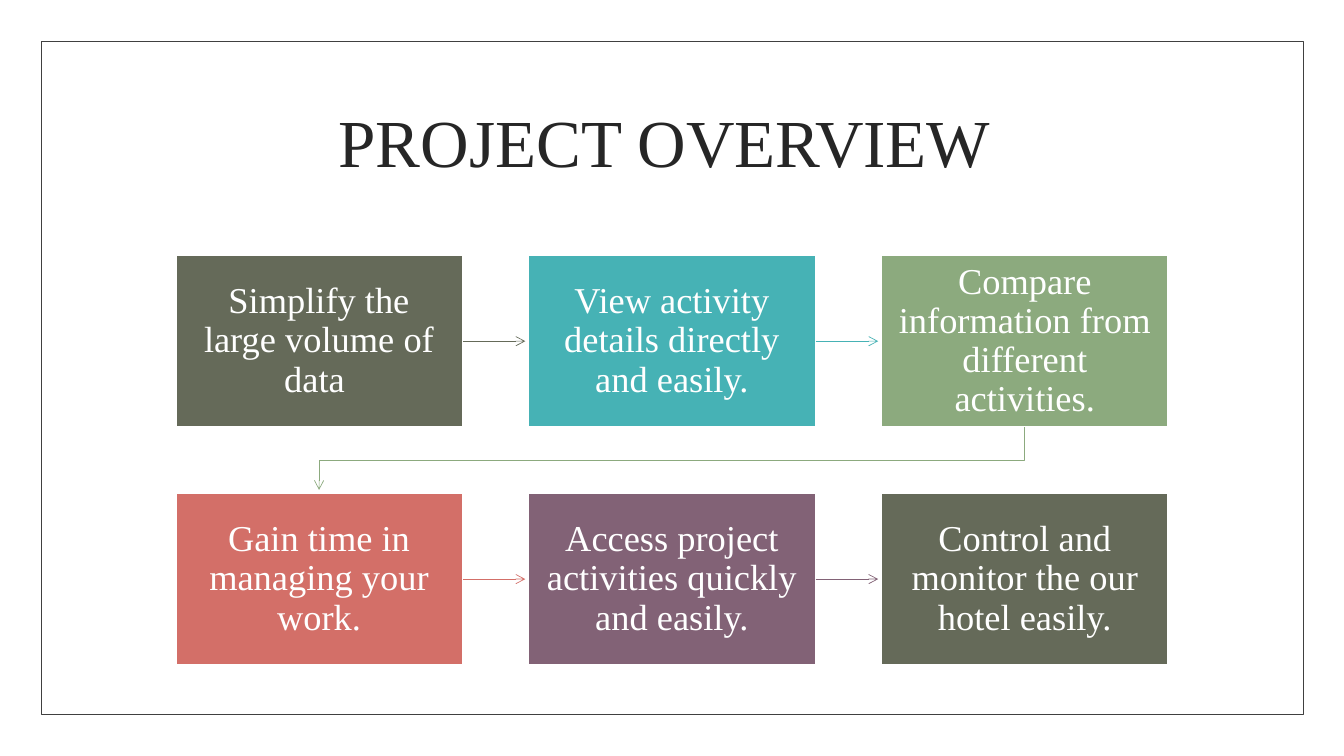
"""Build the project overview slide: six steps joined by arrows."""
from dataclasses import dataclass

from lxml import etree
from pptx import Presentation, util as u
from pptx.dml.color import RGBColor
from pptx.enum import shapes, text
from pptx.oxml.ns import qn


@dataclass(frozen=True)
class Theme:
    """Colours, font and type sizes of the slide."""
    font: str = "Times New Roman"
    title_size: int = 48
    step_size: int = 26
    ink: str = "262626"
    frame: str = "404040"
    white: str = "FFFFFF"
    olive: str = "656A59"
    teal: str = "46B2B5"
    green: str = "8CAA7E"
    coral: str = "D36F68"
    plum: str = "826276"


@dataclass(frozen=True)
class Grid:
    """Step grid in inches, filled row by row."""
    left: float = 1.74
    top: float = 2.53
    column: float = 3.5
    row: float = 2.36
    width: float = 2.85
    height: float = 1.71
    columns: int = 3
    gap: float = 0.03

    def origin(self, index):
        """Return the left and top of the step at this index."""
        row, column = divmod(index, self.columns)
        return self.left + column * self.column, self.top + row * self.row


THEME = Theme()
GRID = Grid()
STEPS = (
    ("Simplify the large volume of data ", THEME.olive),
    ("View activity details directly and easily.", THEME.teal),
    ("Compare information from different activities.", THEME.green),
    ("Gain time in managing your work.", THEME.coral),
    ("Access project activities quickly and easily.", THEME.plum),
    ("Control and monitor the our hotel easily.", THEME.olive),
)


def set_line(shape, color, width):
    """Give a shape or connector a solid line."""
    shape.line.color.rgb = RGBColor.from_string(color)
    shape.line.width = u.Pt(width)


def add_arrowhead(shape):
    """End a thin line with an open arrowhead."""
    line = shape.line._get_or_add_ln()
    etree.SubElement(line, qn("a:tailEnd"), type="arrow")


def write_text(frame, wording, size, color):
    """Write one centred paragraph in the middle of a text frame."""
    frame.word_wrap = True
    frame.auto_size = text.MSO_AUTO_SIZE.NONE
    frame.vertical_anchor = text.MSO_ANCHOR.MIDDLE
    paragraph = frame.paragraphs[0]
    paragraph.alignment = text.PP_ALIGN.CENTER
    paragraph.line_spacing = 0.9
    run = paragraph.add_run()
    run.text = wording
    run.font.name = THEME.font
    run.font.size = u.Pt(size)
    run.font.color.rgb = RGBColor.from_string(color)


def add_rectangle(slide, left, top, width, height):
    """Add a rectangle without a shadow, measured in inches."""
    shape = slide.shapes.add_shape(
        shapes.MSO_SHAPE.RECTANGLE, *map(u.Inches, (left, top, width, height)))
    shape.shadow.inherit = False
    return shape


def add_frame(slide):
    """Add the thin border around the slide."""
    frame = add_rectangle(slide, 0.41, 0.41, 12.52, 6.68)
    frame.fill.background()
    set_line(frame, THEME.frame, 0.5)


def add_title(slide, wording):
    """Place and fill the title placeholder."""
    title = slide.shapes.title
    title.left, title.top = u.Inches(1.17), u.Inches(0.7)
    title.width, title.height = u.Inches(11), u.Inches(1.5)
    write_text(title.text_frame, wording, THEME.title_size, THEME.ink)


def add_step(slide, index, wording, color):
    """Add one coloured step to the grid."""
    step = add_rectangle(slide, *GRID.origin(index), GRID.width, GRID.height)
    step.fill.solid()
    step.fill.fore_color.rgb = RGBColor.from_string(color)
    set_line(step, THEME.white, 1.5)
    frame = step.text_frame
    frame.margin_left = frame.margin_right = u.Inches(0.14)
    frame.margin_top = frame.margin_bottom = u.Inches(0.15)
    write_text(frame, wording, THEME.step_size, THEME.white)
    return step


def add_arrow(slide, step, index, color):
    """Join a step to its right-hand neighbour."""
    left, top = GRID.origin(index)
    middle = u.Inches(top + GRID.height / 2)
    arrow = slide.shapes.add_connector(
        shapes.MSO_CONNECTOR.STRAIGHT, u.Inches(left + GRID.width), middle,
        u.Inches(left + GRID.column - GRID.gap), middle)
    arrow.begin_connect(step, 3)
    set_line(arrow, color, 0.5)
    add_arrowhead(arrow)
    etree.SubElement(arrow._element.spPr, qn("a:effectLst"))


def add_row_turn(slide, index, color):
    """Lead from the last step of a row to the first of the next."""
    left, top = GRID.origin(index)
    next_left, next_top = GRID.origin(index + 1)
    start, end = left + GRID.width / 2, next_left + GRID.width / 2
    bottom = top + GRID.height
    middle = (bottom + next_top) / 2
    builder = slide.shapes.build_freeform(
        u.Inches(start), u.Inches(bottom), scale=1.0)
    corners = ((start, middle), (end, middle), (end, next_top - GRID.gap))
    builder.add_line_segments(
        [(u.Inches(x), u.Inches(y)) for x, y in corners], close=False)
    turn = builder.convert_to_shape()
    turn.shadow.inherit = False
    turn.fill.background()
    set_line(turn, color, 0.5)
    add_arrowhead(turn)


def main():
    """Build and save the presentation."""
    presentation = Presentation()
    presentation.slide_width = u.Inches(13.33)
    presentation.slide_height = u.Inches(7.5)
    slide = presentation.slides.add_slide(presentation.slide_layouts[5])
    add_frame(slide)
    add_title(slide, "PROJECT OVERVIEW ")
    for index, (wording, color) in enumerate(STEPS):
        step = add_step(slide, index, wording, color)
        if index + 1 == len(STEPS):
            continue
        if (index + 1) % GRID.columns:
            add_arrow(slide, step, index, color)
        else:
            add_row_turn(slide, index, color)
    presentation.save("out.pptx")


if __name__ == "__main__":
    main()
